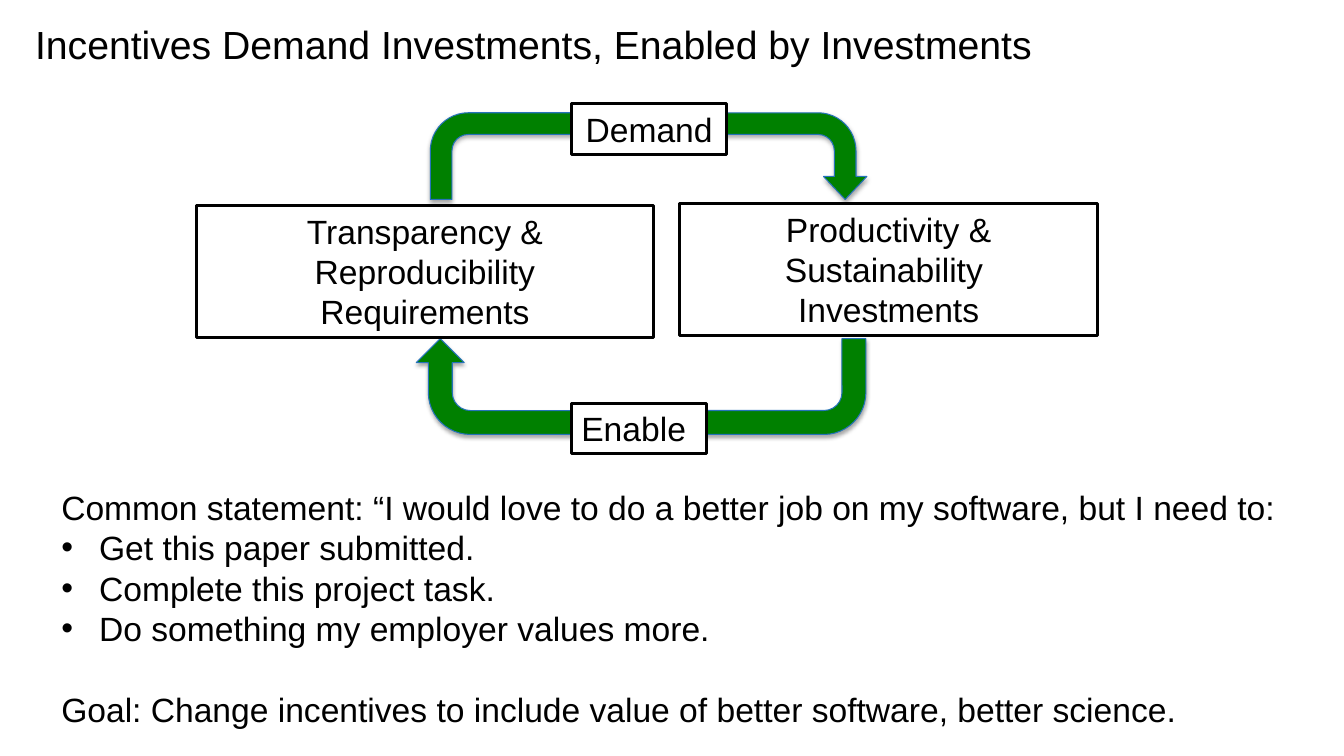
"""Build the slide on incentives and investments as a two-way cycle."""
from lxml import etree
from pptx import Presentation
from pptx.dml.color import RGBColor
from pptx.enum.shapes import MSO_SHAPE
from pptx.enum.text import MSO_ANCHOR, PP_ALIGN
from pptx.oxml import parse_xml
from pptx.oxml.ns import nsdecls, qn
from pptx.util import Pt

COLORS = {"ink": "000000", "paper": "FFFFFF", "arrow": "008000", "edge": "2673BA"}


def rgb(name):
    return RGBColor.from_string(COLORS[name])


def add_text(p, text, size=24):
    for i, line in enumerate(text.split("\n")):
        if i:
            p.add_line_break()
        r = p.add_run()
        r.text = line
        r.font.size = Pt(size)
        r.font.name = "Arial"
        r.font.color.rgb = rgb("ink")


prs = Presentation()
prs.slide_width, prs.slide_height = Pt(960), Pt(540)
s = prs.slides.add_slide(prs.slide_layouts[6])

title = s.shapes.add_textbox(Pt(18), Pt(13.7), Pt(836), Pt(40.3))
tf = title.text_frame
tf.word_wrap = True
tf.vertical_anchor = MSO_ANCHOR.MIDDLE
tf.paragraphs[0].line_spacing = 0.85
add_text(tf.paragraphs[0], "Incentives Demand Investments, Enabled by Investments", 28)

arrows = [
    (307.4, 80.6, 311.8, 61.9, 0, (0.25, 0.25, 0.265, 0.438, 1)),
    (297.4, 241.9, 321.1, 68.4, 180, (0.25, 0.25, 0.25, 0.438, 1)),
]
for x, y, w, h, turn, adjustments in arrows:
    sp = s.shapes.add_shape(MSO_SHAPE.U_TURN_ARROW, Pt(x), Pt(y), Pt(w), Pt(h))
    sp.rotation = turn
    for i, value in enumerate(adjustments):
        sp.adjustments[i] = value
    sp.fill.solid()
    sp.fill.fore_color.rgb = rgb("arrow")
    sp.line.color.rgb = rgb("edge")
    sp.line.width = Pt(0.75)
    sp.shadow.inherit = False
    effects = sp.element.spPr.find(qn("a:effectLst"))
    effects.append(parse_xml(
        f'<a:outerShdw {nsdecls("a")} blurRad="{Pt(3.1)}" dist="{Pt(1.8)}" dir="5400000" '
        f'rotWithShape="0"><a:srgbClr val="{COLORS["ink"]}"><a:alpha val="35000"/>'
        '</a:srgbClr></a:outerShdw>'))

boxes = [
    ("Transparency & Reproducibility Requirements", 140.4, 146.9, 326.2, 94.3, PP_ALIGN.CENTER),
    ("Productivity & Sustainability \nInvestments", 485.3, 145.4, 298.8, 94.3, PP_ALIGN.CENTER),
    ("Demand", 408.2, 74.2, 110.9, 36, PP_ALIGN.CENTER),
    ("Enable", 408.2, 288, 96.5, 36, PP_ALIGN.LEFT),
]
for text, x, y, w, h, align in boxes:
    sp = s.shapes.add_shape(MSO_SHAPE.RECTANGLE, Pt(x), Pt(y), Pt(w), Pt(h))
    sp.shadow.inherit = False
    sp.fill.solid()
    sp.fill.fore_color.rgb = rgb("paper")
    sp.line.color.rgb = rgb("ink")
    sp.line.width = Pt(2)
    tf = sp.text_frame
    tf.word_wrap = True
    tf.vertical_anchor = MSO_ANCHOR.TOP
    p = tf.paragraphs[0]
    p.alignment = align
    p.line_spacing = Pt(28.8)
    add_text(p, text)

statement = s.shapes.add_textbox(Pt(36.7), Pt(344.2), Pt(892.8), Pt(181.4))
tf = statement.text_frame
tf.word_wrap = True
lines = [
    ("Common statement: “I would love to do a better job on my software, but I need to:", False),
    ("Get this paper submitted.", True),
    ("Complete this project task.", True),
    ("Do something my employer values more.", True),
    ("Goal: Change incentives to include value of better software, better science.", False),
]
for i, (text, bulleted) in enumerate(lines):
    p = tf.paragraphs[0] if i == 0 else tf.add_paragraph()
    p.line_spacing = Pt(28.8)
    add_text(p, text)
    if bulleted:
        pPr = p._p.get_or_add_pPr()
        pPr.set("marL", str(Pt(27)))
        pPr.set("indent", str(Pt(-27)))
        etree.SubElement(pPr, qn("a:buFont")).set("typeface", "Arial")
        etree.SubElement(pPr, qn("a:buChar")).set("char", "•")
p.space_before = Pt(28.8)

prs.save("out.pptx")
